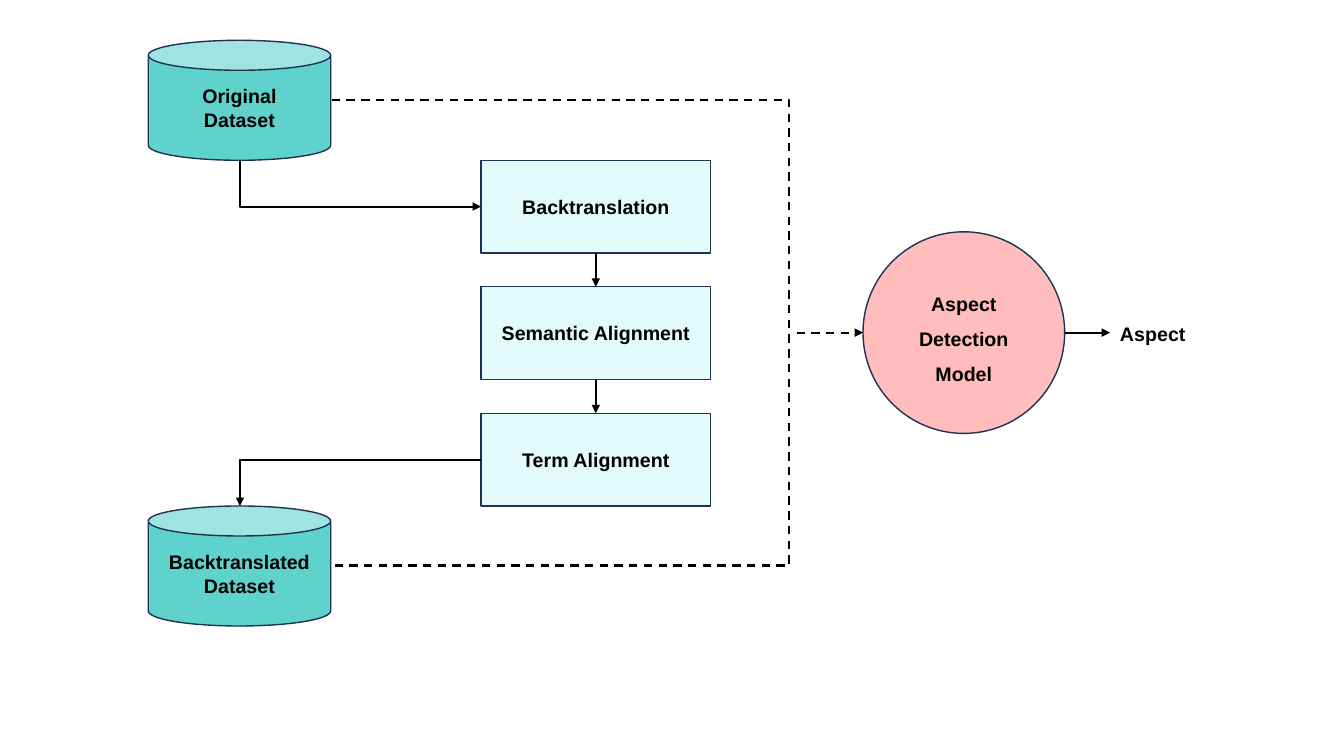
import pptx
import pptx.util
import pptx.dml.color
import pptx.enum.dml
import pptx.enum.shapes
import pptx.enum.text
import pptx.oxml
import pptx.oxml.ns

Inches = pptx.util.Inches
KIND = pptx.enum.shapes.MSO_SHAPE
LINK = pptx.enum.shapes.MSO_CONNECTOR
COLORS = {"data": "5FD2CC", "step": "E3FAFA", "model": "FFBDBD",
          "edge": "1E3256", "ink": "000000"}


def color(name):
    """Return the named colour."""
    return pptx.dml.color.RGBColor.from_string(COLORS[name])


def write(frame, lines, align=None, space=None):
    """Fill a text frame with bold lines."""
    frame.text = "\n".join(lines)
    for para in frame.paragraphs:
        para.alignment = align
        para.line_spacing = space
        font = para.font
        font.name, font.size, font.bold = "Arial", pptx.util.Pt(14), True
        font.color.rgb = color("ink")


def node(slide, kind, box, fill, lines, space=None):
    """Add a filled shape with centred text."""
    shape = slide.shapes.add_shape(kind, *map(Inches, box))
    shape.shadow.inherit = False
    shape.fill.solid()
    shape.fill.fore_color.rgb = color(fill)
    shape.line.color.rgb = color("edge")
    shape.line.width = pptx.util.Pt(1)
    shape.text_frame.vertical_anchor = pptx.enum.text.MSO_ANCHOR.MIDDLE
    write(shape.text_frame, lines, pptx.enum.text.PP_ALIGN.CENTER, space)


def label(slide, box, text):
    """Add a plain text label."""
    frame = slide.shapes.add_textbox(*map(Inches, box)).text_frame
    frame.word_wrap = False
    frame.auto_size = pptx.enum.text.MSO_AUTO_SIZE.SHAPE_TO_FIT_TEXT
    write(frame, [text])


def link(slide, start, end, kind=LINK.STRAIGHT, dash=False, head=True):
    """Add a connector from start to end."""
    line = slide.shapes.add_connector(kind, *map(Inches, start + end))
    line.line.color.rgb = color("ink")
    line.line.width = pptx.util.Pt(1.5)
    if dash:
        line.line.dash_style = pptx.enum.dml.MSO_LINE.DASH
    if head:
        tip = pptx.oxml.ns.qn("a:tailEnd")
        line.line._get_or_add_ln().makeelement(tip)
        pptx.oxml.xmlchemy.OxmlElement("a:tailEnd")
        mark = pptx.oxml.xmlchemy.OxmlElement("a:tailEnd")
        mark.set("type", "triangle")
        line.line._get_or_add_ln().append(mark)
    props = line._element.spPr
    props.append(pptx.oxml.xmlchemy.OxmlElement("a:effectLst"))
    return line


def elbow(slide, start, end, down=False):
    """Add an arrow with one bend, going down first if asked."""
    if down:
        midx, midy = (start[0] + end[0]) / 2, (start[1] + end[1]) / 2
        halfx, halfy = (end[0] - start[0]) / 2, (end[1] - start[1]) / 2
        start = (midx + halfy, midy - halfx)
        end = (midx - halfy, midy + halfx)
    line = link(slide, start, end, LINK.ELBOW)
    props = line._element.spPr
    props.find(pptx.oxml.ns.qn("a:prstGeom")).set("prst", "bentConnector2")
    if down:
        line.rotation = 270
        props.find(pptx.oxml.ns.qn("a:xfrm")).set("rot", "16200000")


def bracket(slide, start, end, reach):
    """Add a dashed line that runs out to reach and back."""
    line = link(slide, start, end, LINK.ELBOW, dash=True, head=False)
    geom = line._element.spPr.find(pptx.oxml.ns.qn("a:prstGeom"))
    guide = pptx.oxml.xmlchemy.OxmlElement("a:gd")
    ratio = (reach - start[0]) / (end[0] - start[0])
    guide.set("name", "adj1")
    guide.set("fmla", f"val {round(ratio * 100000)}")
    geom.get_or_add_avLst().append(guide)


def main():
    """Build the slide."""
    deck = pptx.Presentation()
    deck.slide_width, deck.slide_height = Inches(13.33), Inches(7.5)
    slide = deck.slides.add_slide(deck.slide_layouts[6])

    for top, name in ((0.4, "Original"), (5.02, "Backtranslated")):
        node(slide, KIND.CAN, (1.47, top, 1.81, 1.19), "data",
             [name, "Dataset"])

    steps = ("Backtranslation", "Semantic Alignment", "Term Alignment")
    tops = [1.59 + 1.255 * row for row in range(len(steps))]
    for top, name in zip(tops, steps):
        node(slide, KIND.RECTANGLE, (4.77, top, 2.28, 0.92), "step", [name])
    node(slide, KIND.OVAL, (8.56, 2.3, 2, 2), "model",
         ["Aspect", "Detection", "Model"], 1.5)

    for top, below in zip(tops, tops[1:]):
        link(slide, (5.91, top + 0.92), (5.91, below))
    elbow(slide, (2.38, 1.59), (4.77, 2.05), down=True)
    elbow(slide, (4.77, 4.56), (2.38, 5.02))
    link(slide, (10.56, 3.3), (11.01, 3.3))
    label(slide, (11.01, 3.14, 0.85, 0.34), "Aspect")
    bracket(slide, (3.29, 0.99), (3.3, 5.61), 7.9)
    link(slide, (7.9, 3.3), (8.56, 3.3), dash=True)

    deck.save("out.pptx")


main()
